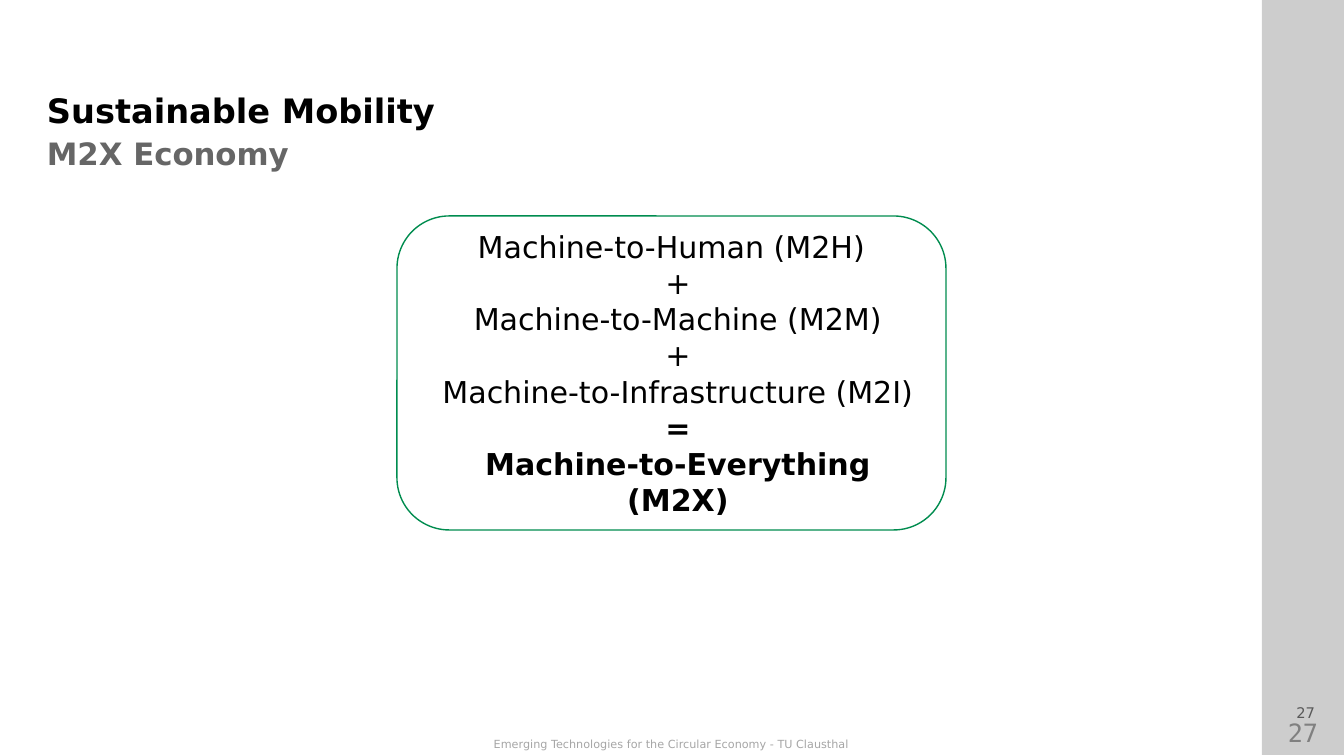
from lxml.etree import SubElement
from pptx import Presentation
from pptx.dml.color import RGBColor
from pptx.enum.shapes import MSO_SHAPE
from pptx.enum.text import MSO_ANCHOR, PP_ALIGN
from pptx.oxml.ns import qn
from pptx.util import Pt

PX = 914400 / 100.8

BLACK = RGBColor(0x00, 0x00, 0x00)
GREEN = RGBColor(0x00, 0x8C, 0x4F)
DARK_GRAY = RGBColor(0x59, 0x59, 0x59)
SUBTITLE_GRAY = RGBColor(0x66, 0x66, 0x66)
MID_GRAY = RGBColor(0x80, 0x80, 0x80)
FOOTER_GRAY = RGBColor(0xA6, 0xA6, 0xA6)

SANS = "DejaVu Sans"
MONO = "DejaVu Sans Mono"


def px(value):
    return round(value * PX)


def add_run(paragraph, text, size, color, bold=False, font_name=SANS):
    run = paragraph.add_run()
    run.text = text
    run.font.name = font_name
    run.font.size = Pt(size)
    run.font.bold = bold
    run.font.color.rgb = color


def set_frame(text_frame, anchor, side_inset, end_inset):
    text_frame.word_wrap = True
    text_frame.vertical_anchor = anchor
    text_frame.margin_left = text_frame.margin_right = px(side_inset)
    text_frame.margin_top = text_frame.margin_bottom = px(end_inset)


def add_label(slide, box, text, size, color, align=PP_ALIGN.LEFT,
              anchor=MSO_ANCHOR.TOP, insets=(10, 5), bold=False, font_name=SANS):
    text_frame = slide.shapes.add_textbox(*map(px, box)).text_frame
    set_frame(text_frame, anchor, *insets)
    paragraph = text_frame.paragraphs[0]
    paragraph.alignment = align
    add_run(paragraph, text, size, color, bold, font_name)


def add_side_band(slide, box, opacity):
    band = slide.shapes.add_shape(MSO_SHAPE.RECTANGLE, *map(px, box))
    band.shadow.inherit = False
    band.line.fill.background()
    band.fill.solid()
    band.fill.fore_color.rgb = BLACK
    color = band.fill._xPr.find(qn("a:solidFill"))[0]
    SubElement(color, qn("a:alpha"), val=str(opacity * 1000))


def add_equation_box(slide, box, lines, indent):
    shape = slide.shapes.add_shape(MSO_SHAPE.ROUNDED_RECTANGLE, *map(px, box))
    shape.shadow.inherit = False
    shape.fill.background()
    shape.line.color.rgb = GREEN
    shape.line.width = Pt(1)
    text_frame = shape.text_frame
    set_frame(text_frame, MSO_ANCHOR.MIDDLE, 10, 5)
    for index, (text, bold) in enumerate(lines):
        paragraph = text_frame.add_paragraph() if index else text_frame.paragraphs[0]
        paragraph.alignment = PP_ALIGN.CENTER
        if index:
            paragraph._p.get_or_add_pPr().set("marL", str(px(indent)))
        add_run(paragraph, text, 21.5, BLACK, bold)


def main():
    presentation = Presentation()
    presentation.slide_width = px(1344)
    presentation.slide_height = px(756)
    slide = presentation.slides.add_slide(presentation.slide_layouts[6])

    # Side band: two translucent layers
    for _ in range(2):
        add_side_band(slide, (1262, 0, 82, 755), opacity=10)

    # Footer and page numbers
    add_label(slide, (1261, 712, 84, 44), "27", 18, MID_GRAY,
              align=PP_ALIGN.CENTER, font_name=MONO)
    add_label(slide, (0, 732, 1343, 23),
              "Emerging Technologies for the Circular Economy - TU Clausthal",
              8, FOOTER_GRAY, align=PP_ALIGN.CENTER)
    add_label(slide, (1245, 685, 80, 56), "27", 10.5, DARK_GRAY,
              align=PP_ALIGN.RIGHT, anchor=MSO_ANCHOR.MIDDLE, insets=(10, 13))

    # Headings
    add_label(slide, (37, 85, 1184, 54), "Sustainable Mobility", 24, BLACK, bold=True)
    add_label(slide, (47, 127, 1140, 53), "M2X Economy", 22, SUBTITLE_GRAY,
              anchor=MSO_ANCHOR.MIDDLE, insets=(0, 0), bold=True)

    # Machine economy equation
    add_equation_box(slide, (397, 216, 549, 314), [
        ("Machine-to-Human (M2H)", False),
        ("+", False),
        ("Machine-to-Machine (M2M)", False),
        ("+", False),
        ("Machine-to-Infrastructure (M2I)", False),
        ("=", True),
        ("Machine-to-Everything (M2X)", True),
    ], indent=13)

    presentation.save("out.pptx")


if __name__ == "__main__":
    main()
